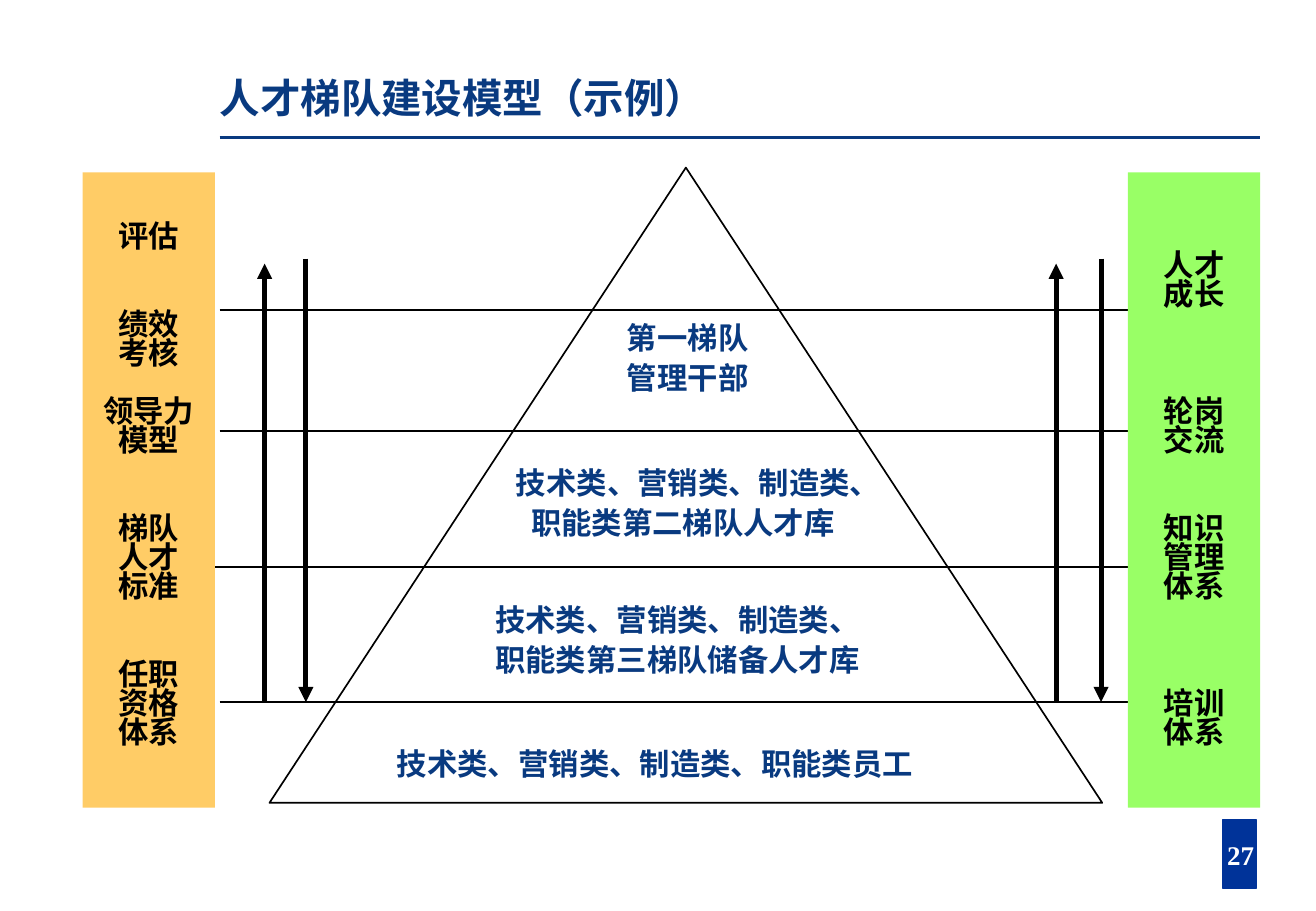
from pptx import Presentation
from pptx.dml.color import RGBColor
from pptx.enum.shapes import MSO_CONNECTOR, MSO_SHAPE
from pptx.enum.text import MSO_ANCHOR, PP_ALIGN
from pptx.oxml.xmlchemy import OxmlElement
from pptx.util import Inches, Pt

CHINESE_FONT = "Noto Sans CJK SC"
NAVY = "093A80"
BLACK = "000000"
PANEL_TOP, PANEL_WIDTH, PANEL_HEIGHT = 1.42, 1.09, 5.23
PANEL_LINE = 17.3  # points from one line of panel text to the next


def color(value):
    return RGBColor.from_string(value)


def write_text(shape, paragraphs, size=18, font=CHINESE_FONT, fill=NAVY,
               align=PP_ALIGN.CENTER, anchor=MSO_ANCHOR.BOTTOM,
               spacing=1.0, gaps=None, bottom=0, wrap=True):
    """Fill a shape; a newline inside a paragraph is a line break."""
    frame = shape.text_frame
    frame.word_wrap = wrap
    frame.vertical_anchor = anchor
    frame.margin_left = frame.margin_right = frame.margin_top = 0
    frame.margin_bottom = Inches(bottom)
    for index, text in enumerate(paragraphs):
        paragraph = frame.add_paragraph() if index else frame.paragraphs[0]
        paragraph.alignment = align
        paragraph.line_spacing = spacing
        if index and gaps:
            paragraph.space_before = Pt(gaps[index - 1] * PANEL_LINE)
        for number, line in enumerate(text.split("\n")):
            if number:
                paragraph.add_line_break()
            run = paragraph.add_run()
            run.text = line
            run.font.size = Pt(size)
            run.font.bold = True
            run.font.name = font
            run.font.color.rgb = color(fill)
            east_asian = OxmlElement("a:ea")
            east_asian.set("typeface", font)
            run.font._element.find("{*}latin").addnext(east_asian)


def add_text(slide, left, top, width, height, text, **text_format):
    box = slide.shapes.add_textbox(Inches(left), Inches(top), Inches(width), Inches(height))
    write_text(box, [text], **text_format)


def add_block(slide, kind, left, top, width, height, fill, line=None):
    shape = slide.shapes.add_shape(kind, Inches(left), Inches(top), Inches(width), Inches(height))
    shape.shadow.inherit = False
    shape.fill.solid()
    shape.fill.fore_color.rgb = color(fill)
    if line:
        shape.line.color.rgb = color(line)
        shape.line.width = Pt(1)
    else:
        shape.line.fill.background()
    return shape


def add_line(slide, x1, y1, x2, y2, width=1, fill=BLACK, arrow=False):
    connector = slide.shapes.add_connector(
        MSO_CONNECTOR.STRAIGHT, Inches(x1), Inches(y1), Inches(x2), Inches(y2))
    connector.line.color.rgb = color(fill)
    connector.line.width = Pt(width)
    if arrow:
        head = OxmlElement("a:tailEnd")
        head.set("type", "triangle")
        connector.line._get_or_add_ln().append(head)
    connector._element.spPr.append(OxmlElement("a:effectLst"))


def add_panel(slide, left, fill, items, gaps):
    """Side column; gaps are the empty lines between its items."""
    panel = add_block(slide, MSO_SHAPE.RECTANGLE, left, PANEL_TOP,
                      PANEL_WIDTH, PANEL_HEIGHT, fill)
    write_text(panel, items, fill=BLACK, spacing=0.8, gaps=gaps, bottom=0.48)


def main():
    presentation = Presentation()
    presentation.slide_width = Inches(10.84)
    presentation.slide_height = Inches(7.5)
    slide = presentation.slides.add_slide(presentation.slide_layouts[6])

    # Title and page number
    add_line(slide, 1.81, 1.13, 10.38, 1.13, width=2, fill=NAVY)
    add_text(slide, 1.81, 0.25, 8.57, 0.75, "人才梯队建设模型（示例）",
             size=24, align=PP_ALIGN.LEFT, spacing=0.8)
    add_block(slide, MSO_SHAPE.RECTANGLE, 10.07, 6.75, 0.28, 0.56, "003399", "003399")
    add_text(slide, 9.62, 6.85, 1.2, 0.37, "27", size=16, font="Times New Roman",
             fill="FFFFFF", anchor=MSO_ANCHOR.MIDDLE, wrap=False)

    # Pyramid and its level lines
    add_block(slide, MSO_SHAPE.ISOSCELES_TRIANGLE, 2.22, 1.38, 6.86, 5.23, "FFFFFF", BLACK)
    for left, y in ((1.81, 2.55), (1.81, 3.55), (1.77, 4.67), (1.81, 5.78)):
        add_line(slide, left, y, left + 7.59, y)

    # Talent levels, from top to bottom
    add_text(slide, 4.7, 2.8, 1.93, 0.46, "第一梯队\n管理干部", spacing=1.1)
    add_text(slide, 4.14, 4, 2.97, 0.45,
             "技术类、营销类、制造类、职能类第二梯队人才库", spacing=1.1)
    add_text(slide, 3.83, 4.98, 3.5, 0.6,
             "技术类、营销类、制造类、\n职能类第三梯队储备人才库", spacing=1.1)
    add_text(slide, 3.27, 6, 5, 0.43, "技术类、营销类、制造类、职能类员工",
             align=PP_ALIGN.LEFT, spacing=0.8)

    # Side panels
    add_panel(slide, 0.68, "FFCC66",
              ["评估", "绩效\n考核", "领导力\n模型", "梯队\n人才\n标准", "任职\n资格\n体系"],
              gaps=[2, 1, 2, 2])
    add_panel(slide, 9.29, "99FF66",
              ["人才\n成长", "轮岗\n交流", "知识\n管理\n体系", "培训\n体系"],
              gaps=[3, 2, 3])

    # Up and down arrows on both sides
    for up, down in ((2.18, 2.52), (8.7, 9.07)):
        add_line(slide, up, 5.78, up, 2.17, width=3, arrow=True)
        add_line(slide, down, 2.13, down, 5.78, width=3, arrow=True)

    presentation.save("out.pptx")


if __name__ == "__main__":
    main()
